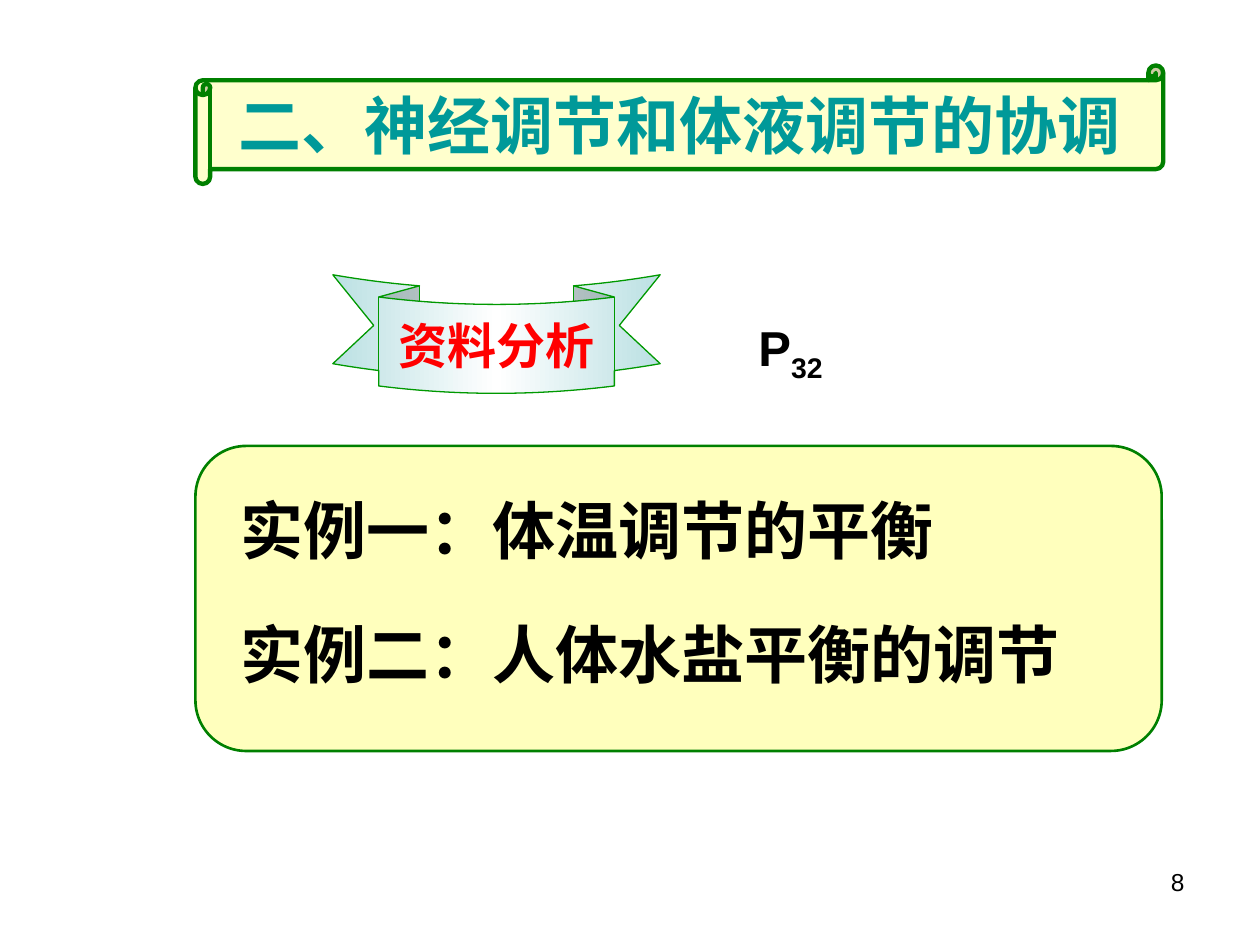
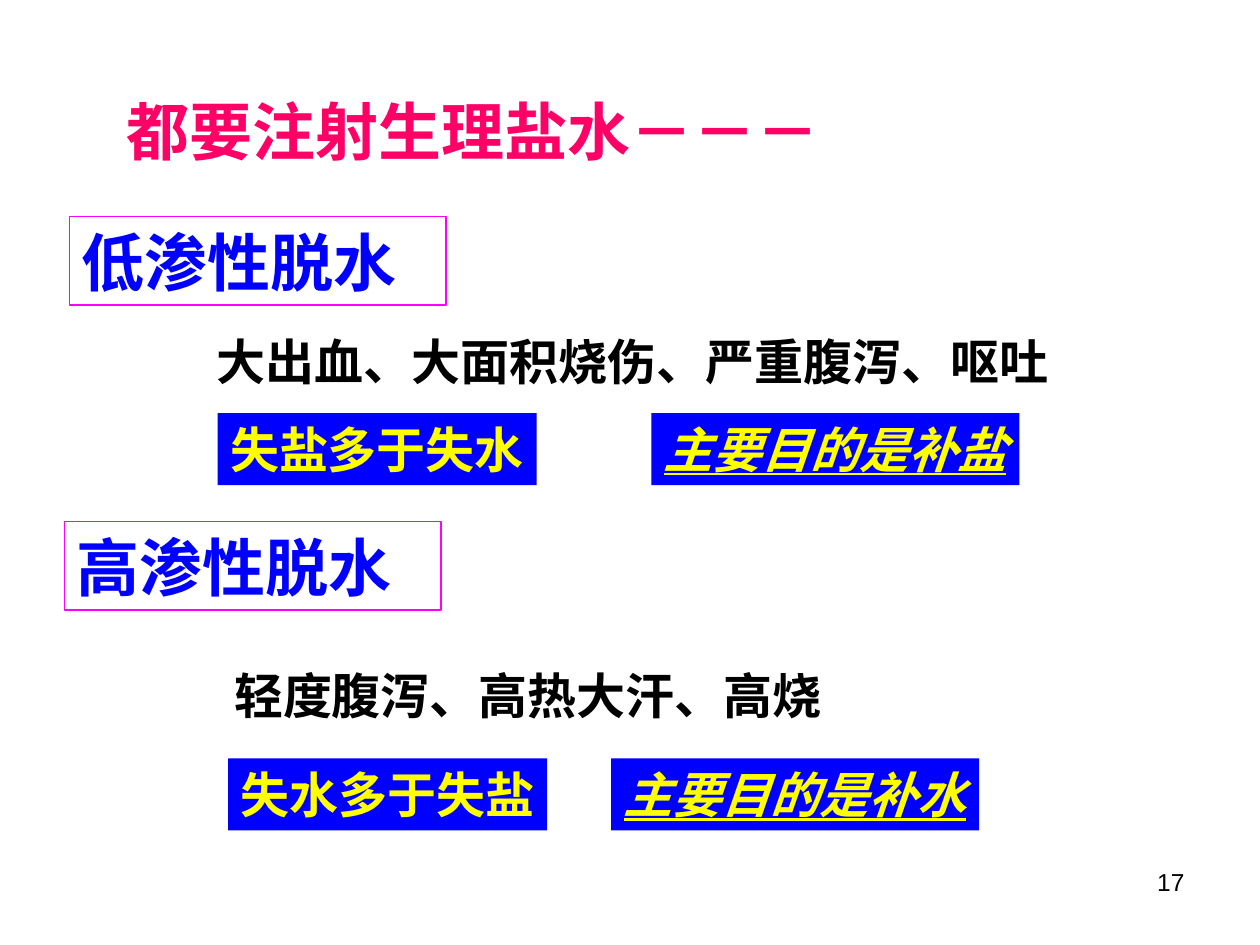
import copy

import pptx
import pptx.util
from lxml import etree
from pptx.dml.color import RGBColor
from pptx.enum.lang import MSO_LANGUAGE_ID
from pptx.enum.shapes import MSO_SHAPE
from pptx.enum.text import MSO_ANCHOR, MSO_AUTO_SIZE, PP_ALIGN
from pptx.oxml.ns import qn
from pptx.util import Cm, Pt

# Shared look
BLACK = RGBColor(0x00, 0x00, 0x00)
WHITE = RGBColor(0xFF, 0xFF, 0xFF)
RED = RGBColor(0xFF, 0x00, 0x00)
ROSE = RGBColor(0xFF, 0x00, 0x66)
PINK = RGBColor(0xFF, 0x00, 0xFF)
BLUE = RGBColor(0x00, 0x00, 0xFF)
YELLOW = RGBColor(0xFF, 0xFF, 0x00)
TEAL = RGBColor(0x00, 0x99, 0x99)
GREEN = RGBColor(0x00, 0x80, 0x00)
LEAF = RGBColor(0x00, 0x99, 0x00)
CREAM = RGBColor(0xFF, 0xFF, 0xCD)
LEMON = RGBColor(0xFF, 0xFF, 0xBD)
ICE = RGBColor(0xBB, 0xE0, 0xE3)
FONT = "Arial"
HEAD = "Noto Sans CJK JP"
BIG, MID, SMALL = 36, 28, 14
LEFT, CENTER, RIGHT = PP_ALIGN.LEFT, PP_ALIGN.CENTER, PP_ALIGN.RIGHT


def draw(slide, kind, spot, fill=None, line=None, width=0.75):
    """Add a preset shape, or a text box when kind is None; spot is in cm."""
    spot = [Cm(v) for v in spot]
    if kind is None:
        return slide.shapes.add_textbox(*spot)
    shape = slide.shapes.add_shape(kind, *spot)
    shape.shadow.inherit = False
    if fill is None:
        shape.fill.background()
    else:
        shape.fill.solid()
        shape.fill.fore_color.rgb = fill
    if line is None:
        shape.line.fill.background()
    else:
        shape.line.color.rgb = line
        shape.line.width = Pt(width)
    return shape


def write(shape, text, size, color, align=LEFT, wrap=True, font=FONT,
          bold=True, slant=False, para=None):
    """Add one run to a shape, in its first paragraph unless para is given."""
    frame = shape.text_frame
    frame.auto_size = MSO_AUTO_SIZE.NONE
    frame.word_wrap = wrap
    frame.vertical_anchor = MSO_ANCHOR.MIDDLE
    para = para or frame.paragraphs[0]
    para.alignment = align
    run = para.add_run()
    run.text = text
    run.font.size = Pt(size)
    run.font.bold = bold
    if slant:
        run.font.italic = run.font.underline = True
    run.font.color.rgb = color
    run.font.language_id = MSO_LANGUAGE_ID.SIMPLIFIED_CHINESE
    run.font.name = font
    props = run._r.get_or_add_rPr()
    etree.SubElement(props, qn("a:ea")).set("typeface", font)
    return run


deck = pptx.Presentation()
deck.slide_width, deck.slide_height = Cm(25.4), Cm(19.05)

# Titles and page numbers
pages = [
    (1, "二、神经调节和体液调节的协调", TEAL, CENTER, HEAD,
     (3.94, 1.32, 19.51, 2.39), "8"),
    (5, "都要注射生理盐水－－－", ROSE, LEFT, FONT,
     (2.29, 1.73, 15.6, 1.78), "17"),
]
for kind, text, color, align, font, spot, num in pages:
    slide = deck.slides.add_slide(deck.slide_layouts[kind])
    title = slide.shapes.title
    title.left, title.top, title.width, title.height = [Cm(v) for v in spot]
    write(title, text, BIG, color, align, font=font)
    foot = draw(slide, None, (18.21, 17.35, 5.92, 0.86))
    write(foot, num, SMALL, BLACK, RIGHT, bold=False)
first, last = deck.slides

# Slide 1: scroll behind the title
title = first.shapes.title
scroll = draw(first, MSO_SHAPE.HORIZONTAL_SCROLL, pages[0][5],
              CREAM, GREEN, 2.5)
title.element.addprevious(scroll.element)

# Slide 1: panel with the two cases
body = first.placeholders[1]
panel = draw(first, MSO_SHAPE.ROUNDED_RECTANGLE, (3.94, 8.99, 19.48, 6.15),
             LEMON, GREEN, 1.5)
body.element.addprevious(panel.element)
body.left, body.top, body.width, body.height = [
    Cm(v) for v in (4.6, 9.8, 18.29, 4.24)]
for i, text in enumerate(["实例一：体温调节的平衡", "实例二：人体水盐平衡的调节"]):
    frame = body.text_frame
    para = frame.add_paragraph() if i else frame.paragraphs[0]
    props = para._p.get_or_add_pPr()
    props.set("marL", "0")
    props.set("indent", "0")
    etree.SubElement(props, qn("a:buNone"))
    para.space_before = Pt(28 * i)
    write(body, text, BIG, BLACK, para=para)

# Slide 1: ribbon with a three-stop gradient
ribbon = draw(first, MSO_SHAPE.CURVED_DOWN_RIBBON, (6.71, 5.54, 6.6, 2.39),
              ICE, LEAF)
ribbon.adjustments[0] = 0.25
ribbon.adjustments[1] = 0.72
ribbon.adjustments[2] = 0.12
ribbon.fill.gradient()
ribbon.fill.gradient_angle = 0
stops = ribbon.element.spPr.find(qn("a:gradFill")).find(qn("a:gsLst"))
stops.insert(1, copy.deepcopy(stops[0]))
for stop, color, place in zip(ribbon.fill.gradient_stops,
                              (ICE, WHITE, ICE), (0, 0.5, 1)):
    stop.color.rgb = color
    stop.position = place
write(ribbon, "资料分析", MID, RED, CENTER, wrap=False)

# Slide 1: page reference
page = draw(first, None, (15.04, 6.27, 1.8, 1.6))
write(page, "P", MID, BLACK, wrap=False)
sub = write(page, "32", MID, BLACK, wrap=False)
sub._r.get_or_add_rPr().set("baseline", "-25000")

# Slide 2: two kinds of water loss, each with causes, loss and aim
kinds = [
    ("低渗性脱水", 1.4, 4.37,
     "大出血、大面积烧伤、严重腹泻、呕吐", 4.11, 6.55, 17.27,
     "失盐多于失水", 4.39, "主要目的是补盐", 13.13, 8.33),
    ("高渗性脱水", 1.3, 10.52,
     "轻度腹泻、高热大汗、高烧", 4.47, 13.28, 12.34,
     "失水多于失盐", 4.6, "主要目的是补水", 12.32, 15.29),
]
for (name, x, y, cause, cx, cy, cw, loss, lx, aim, ax, low) in kinds:
    label = draw(last, MSO_SHAPE.RECTANGLE, (x, y, 7.59, 1.78), line=PINK)
    write(label, name, BIG, BLUE)
    note = draw(last, None, (cx, cy, cw, 1.45))
    write(note, cause, MID, BLACK, wrap=False)
    for text, left, wide, slant in [(loss, lx, 6.43, False),
                                    (aim, ax, 7.42, True)]:
        tag = draw(last, MSO_SHAPE.RECTANGLE, (left, low, wide, 1.45), BLUE)
        write(tag, text, MID, YELLOW, wrap=False, slant=slant)

deck.save("out.pptx")
